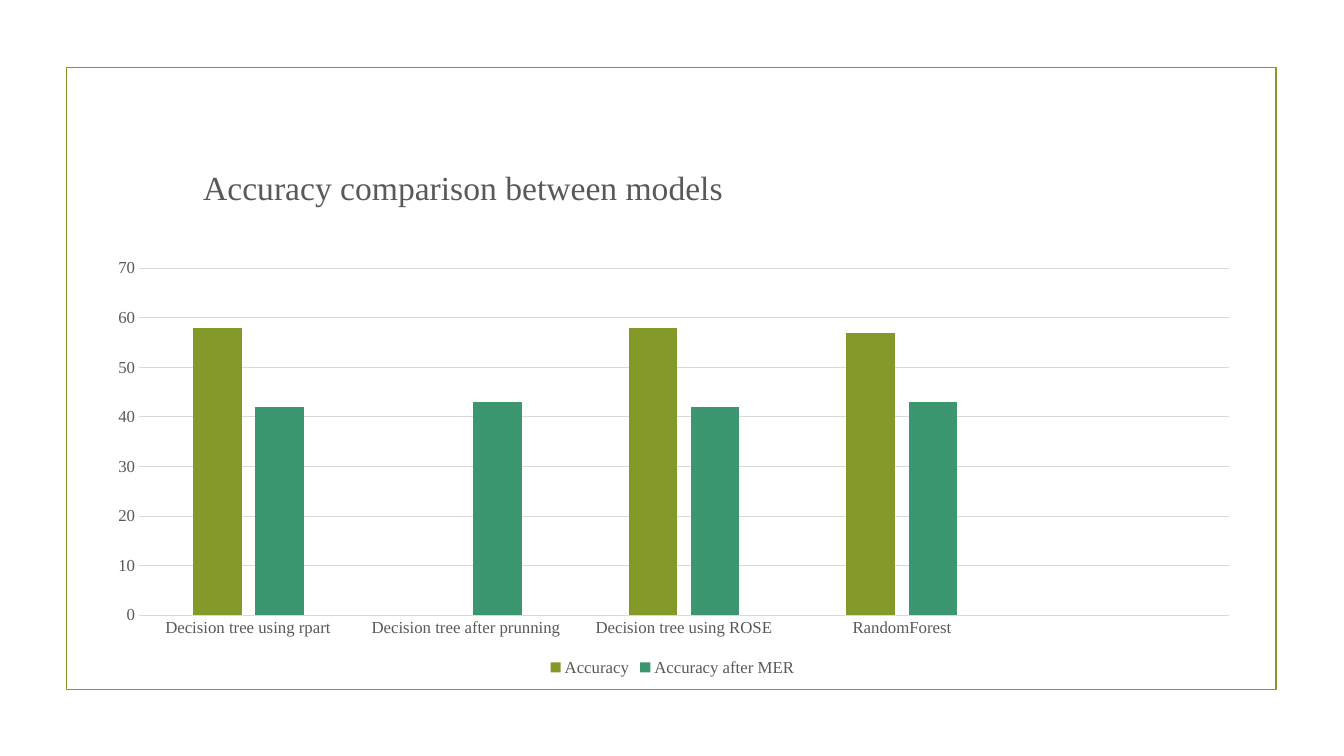
from lxml.etree import SubElement
from pptx import Presentation
from pptx.chart.data import CategoryChartData
from pptx.dml.color import RGBColor
from pptx.enum.chart import XL_CHART_TYPE, XL_LEGEND_POSITION, XL_TICK_MARK
from pptx.enum.shapes import MSO_SHAPE
from pptx.oxml import parse_xml
from pptx.oxml.ns import nsdecls, qn
from pptx.util import Inches, Pt

FACE = "Times New Roman"
OLIVE, GREEN, TEXT, GRID = "83992A", "3C9770", "595959", "D9D9D9"
MODELS = ["Decision tree using rpart", "Decision tree after prunning",
          "Decision tree using ROSE", "RandomForest", ""]
SERIES = [("Accuracy", (58, None, 58, 57, None), OLIVE),
          ("Accuracy after MER", (42, 43, 42, 43, None), GREEN)]


def color(code):
    """Return the colour for a hex string."""
    return RGBColor.from_string(code)


def style(font, size=12, code=TEXT):
    """Format a font."""
    font.name = FACE
    font.size = Pt(size)
    font.bold = False
    font.color.rgb = color(code)


def stroke(line, code, width=0.75):
    """Format a line."""
    line.color.rgb = color(code)
    line.width = Pt(width)


def write(frame, text, **form):
    """Put formatted text into a text frame."""
    run = frame.paragraphs[0].add_run()
    run.text = text
    style(run.font, **form)


def place(parent, after, inner=False, **box):
    """Give a chart part a fixed place, in fractions of the chart."""
    for old in parent.findall(qn("c:layout")):
        parent.remove(old)
    layout = parse_xml(f"<c:layout {nsdecls('c')}><c:manualLayout/></c:layout>")
    spot = layout[0]
    if inner:
        SubElement(spot, qn("c:layoutTarget")).set("val", "inner")
    for key in ("xMode", "yMode"):
        SubElement(spot, qn(f"c:{key}")).set("val", "edge")
    for key, value in box.items():
        SubElement(spot, qn(f"c:{key}")).set("val", str(value))
    if after is None:
        parent.insert(0, layout)
    else:
        after.addnext(layout)


def border(slide):
    """Draw the frame around the content."""
    shape = slide.shapes.add_shape(MSO_SHAPE.RECTANGLE, Inches(0.66),
                                   Inches(0.67), Inches(12), Inches(6.17))
    shape.shadow.inherit = False
    shape.fill.background()
    stroke(shape.line, OLIVE, 1.25)


def columns(slide):
    """Add the column chart and return it."""
    data = CategoryChartData()
    data.categories = MODELS
    for name, values, _ in SERIES:
        data.add_series(name, values)
    chart = slide.shapes.add_chart(
        XL_CHART_TYPE.COLUMN_CLUSTERED, Inches(0.92), Inches(1.37),
        Inches(11.5), Inches(5.38), data).chart
    style(chart.font)
    plot = chart.plots[0]
    plot.gap_width, plot.overlap = 219, -27
    plot.vary_by_categories = False
    for series, (_, _, code) in zip(plot.series, SERIES):
        series.format.fill.solid()
        series.format.fill.fore_color.rgb = color(code)
    return chart


def axes(chart):
    """Format both axes and the grid."""
    for axis in (chart.category_axis, chart.value_axis):
        axis.major_tick_mark = axis.minor_tick_mark = XL_TICK_MARK.NONE
        style(axis.tick_labels.font)
    stroke(chart.category_axis.format.line, GRID)
    scale = chart.value_axis
    scale.minimum_scale, scale.maximum_scale, scale.major_unit = 0, 70, 10
    scale.format.line.fill.background()
    stroke(scale.major_gridlines.format.line, GRID)


def labels(chart):
    """Add the title and the legend, and place title and plot."""
    title = chart.chart_title
    write(title.text_frame, "Accuracy comparison between models", size=24)
    node = title._element
    place(node, node.find(qn("c:tx")), x=0.09, y=0.04)
    area = chart._chartSpace.chart.plotArea
    place(area, None, inner=True, x=0.04, y=0.24, w=0.94, h=0.64)
    chart.has_legend = True
    chart.legend.position = XL_LEGEND_POSITION.BOTTOM
    chart.legend.include_in_layout = False
    style(chart.legend.font)


def main():
    """Build the slide and save it."""
    deck = Presentation()
    deck.slide_width, deck.slide_height = Inches(13.33), Inches(7.5)
    slide = deck.slides.add_slide(deck.slide_layouts[6])
    border(slide)
    chart = columns(slide)
    axes(chart)
    labels(chart)
    deck.save("out.pptx")


if __name__ == "__main__":
    main()
